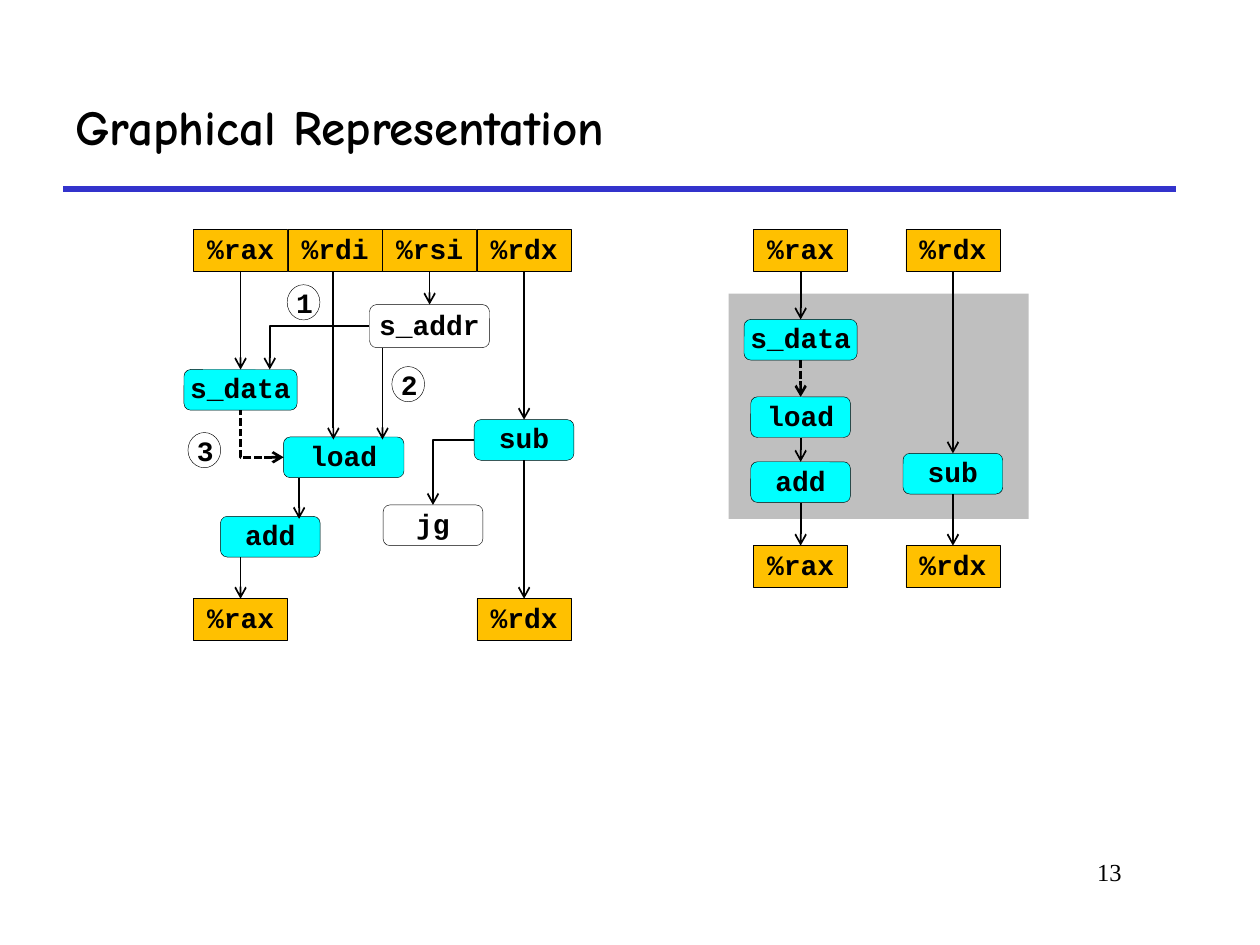
import pptx
import pptx.util
import pptx.dml.color
import pptx.enum.dml
import pptx.enum.shapes
import pptx.enum.text
import pptx.oxml

Cm, Pt = pptx.util.Cm, pptx.util.Pt
SHAPE = pptx.enum.shapes.MSO_SHAPE
LINK = pptx.enum.shapes.MSO_CONNECTOR
ALIGN = pptx.enum.text.PP_ALIGN
ANCHOR = pptx.enum.text.MSO_ANCHOR
DASH = pptx.enum.dml.MSO_LINE

COLORS = {"ink": "000000", "rule": "3333CC", "loop": "BFBFBF",
          "reg": "FFC000", "op": "00FFFF", "free": "FFFFFF"}
CODE = "Courier New"

# Centre lines of the registers, in cm
RAX, RDI, RSI, RDX = [4.85 + 1.905 * i for i in range(4)]
RAX2, RDX2 = 16.14, 19.21
TOP, END, END2 = 4.62, 12.07, 11
REG_W, REG_H, OP_W, OP_H = 1.9, 0.84, 2.01, 0.82

# text, centre, top
REGS = [
    ("%rax", RAX, TOP), ("%rdi", RDI, TOP), ("%rsi", RSI, TOP), ("%rdx", RDX, TOP),
    ("%rax", RAX, END), ("%rdx", RDX, END),
    ("%rax", RAX2, TOP), ("%rdx", RDX2, TOP),
    ("%rax", RAX2, END2), ("%rdx", RDX2, END2),
]

# text, centre, top, width, height, colour
OPS = [
    ("s_addr", 8.66, 6.14, 2.42, 0.87, "free"),
    ("s_data", RAX, 7.45, 2.28, OP_H, "op"),
    ("sub", RDX, 8.46, OP_W, OP_H, "op"),
    ("load", 6.93, 8.81, 2.43, OP_H, "op"),
    ("jg", 8.73, 10.18, OP_W, OP_H, "free"),
    ("add", 5.45, 10.41, OP_W, OP_H, "op"),
    ("s_data", RAX2, 6.44, 2.28, OP_H, "op"),
    ("load", RAX2, 8, OP_W, OP_H, "op"),
    ("add", RAX2, 9.31, OP_W, OP_H, "op"),
    ("sub", RDX2, 9.14, OP_W, OP_H, "op"),
]

# x, from, to, dashed
DROPS = [
    (RAX, 5.46, 7.45, False), (6.72, 5.46, 8.86, False),
    (RSI, 5.46, 6.14, False), (RDX, 5.46, 8.46, False),
    (7.71, 7.01, 8.86, False), (6.03, 9.63, 10.46, False),
    (RAX, 11.23, END, False), (RDX, 9.28, END, False),
    (RAX2, 5.46, 6.44, False), (RAX2, 7.26, 8, True),
    (RAX2, 8.82, 9.31, False), (RAX2, 10.13, END2, False),
    (RDX2, 5.46, 9.14, False), (RDX2, 9.96, END2, False),
]

# side of one box, top or bottom of the other; the arrow may point back
BENDS = [
    ((7.45, 6.58), (5.44, 7.45), False, "tail"),
    ((9.56, 8.87), (8.73, 10.18), False, "tail"),
    ((5.72, 9.22), (RAX, 8.27), True, "head"),
]

STEPS = [("1", 5.72, 5.71), ("2", 7.83, 7.36), ("3", 3.72, 8.69)]

deck = pptx.Presentation()
deck.slide_width, deck.slide_height = Cm(25.4), Cm(19.05)
page = deck.slides.add_slide(deck.slide_layouts[6])


def rgb(name):
    return pptx.dml.color.RGBColor.from_string(COLORS[name])


def write(shape, text, font=CODE, size=16, bold=True, align=ALIGN.CENTER,
          anchor=ANCHOR.MIDDLE, inset=(0, 0), gap=0.9, wrap=True):
    frame = shape.text_frame
    frame.word_wrap, frame.vertical_anchor = wrap, anchor
    frame.margin_left = frame.margin_right = Cm(inset[0])
    frame.margin_top = frame.margin_bottom = Cm(inset[1])
    para = frame.paragraphs[0]
    para.alignment, para.line_spacing = align, gap
    run = para.add_run()
    run.text = text
    run.font.name, run.font.size, run.font.bold = font, Pt(size), bold
    run.font.color.rgb = rgb("ink")


def box(home, kind, x, y, w, h, fill=None, edge=True):
    shape = home.add_shape(kind, Cm(x), Cm(y), Cm(w), Cm(h))
    shape.shadow.inherit = False
    if fill:
        shape.fill.solid()
        shape.fill.fore_color.rgb = rgb(fill)
    else:
        shape.fill.background()
    if edge:
        shape.line.color.rgb = rgb("ink")
        shape.line.width = Pt(0.25)
    else:
        shape.line.fill.background()
    return shape


def label(home, x, y, w, h, text, **form):
    write(home.add_textbox(Cm(x), Cm(y), Cm(w), Cm(h)), text, **form)


def add(node, tag, **attrs):
    part = pptx.oxml.parse_xml(f'<a:{tag} xmlns:a="http://schemas.openxmlformats.org/drawingml/2006/main"/>')
    for key, value in attrs.items():
        part.set(key, value)
    node.append(part)


def wire(start, stop, color="ink", width=1.0, dash=False, tip=None, bent=False):
    """Draw a line; a bent one runs level first, then upright."""
    kind = LINK.ELBOW if bent else LINK.STRAIGHT
    link = page.shapes.add_connector(kind, *map(Cm, start + stop))
    link.line.color.rgb, link.line.width = rgb(color), Pt(width)
    if dash:
        link.line.dash_style = DASH.SQUARE_DOT
    props = link._element.spPr
    if bent:
        props.prstGeom.set("prst", "bentConnector2")
    if tip:
        add(link.line._get_or_add_ln(), tip + "End", type="arrow")
    add(props, "effectLst")


wire((1.27, 3.81), (23.7, 3.81), color="rule", width=3)
label(page.shapes, 1.27, 1.27, 22.43, 2.54, "Graphical Representation",
      font="Comic Neue", size=28, align=ALIGN.LEFT, inset=(0.25, 0.13), gap=1.0)
label(page.shapes, 19.25, 17.15, 3.61, 1.27, "13", font="Times New Roman", size=14,
      bold=False, align=ALIGN.RIGHT, anchor=ANCHOR.TOP, inset=(0.25, 0.13), gap=1.0)
box(page.shapes, SHAPE.RECTANGLE, 14.69, 5.92, 6.05, 4.54, "loop", edge=False)

for text, mid, y in REGS:
    write(box(page.shapes, SHAPE.RECTANGLE, mid - REG_W / 2, y, REG_W, REG_H, "reg"), text)
for text, mid, y, w, h, fill in OPS:
    write(box(page.shapes, SHAPE.ROUNDED_RECTANGLE, mid - w / 2, y, w, h, fill), text,
          wrap=text != "s_data")
for x, y, end, dash in DROPS:
    wire((x, y), (x, end), width=1.5 if dash else 1, dash=dash, tip="tail")
for side, edge, dash, tip in BENDS:
    wire(side, edge, width=1.5 if dash else 1, dash=dash, tip=tip, bent=True)
for text, x, y in STEPS:
    step = page.shapes.add_group_shape().shapes
    label(step, x, y, 0.74, 0.86, text, align=ALIGN.LEFT, anchor=ANCHOR.TOP, inset=(0.25, 0.13))
    box(step, SHAPE.OVAL, x + 0.07, y + 0.03, 0.66, 0.71)

deck.save("out.pptx")
